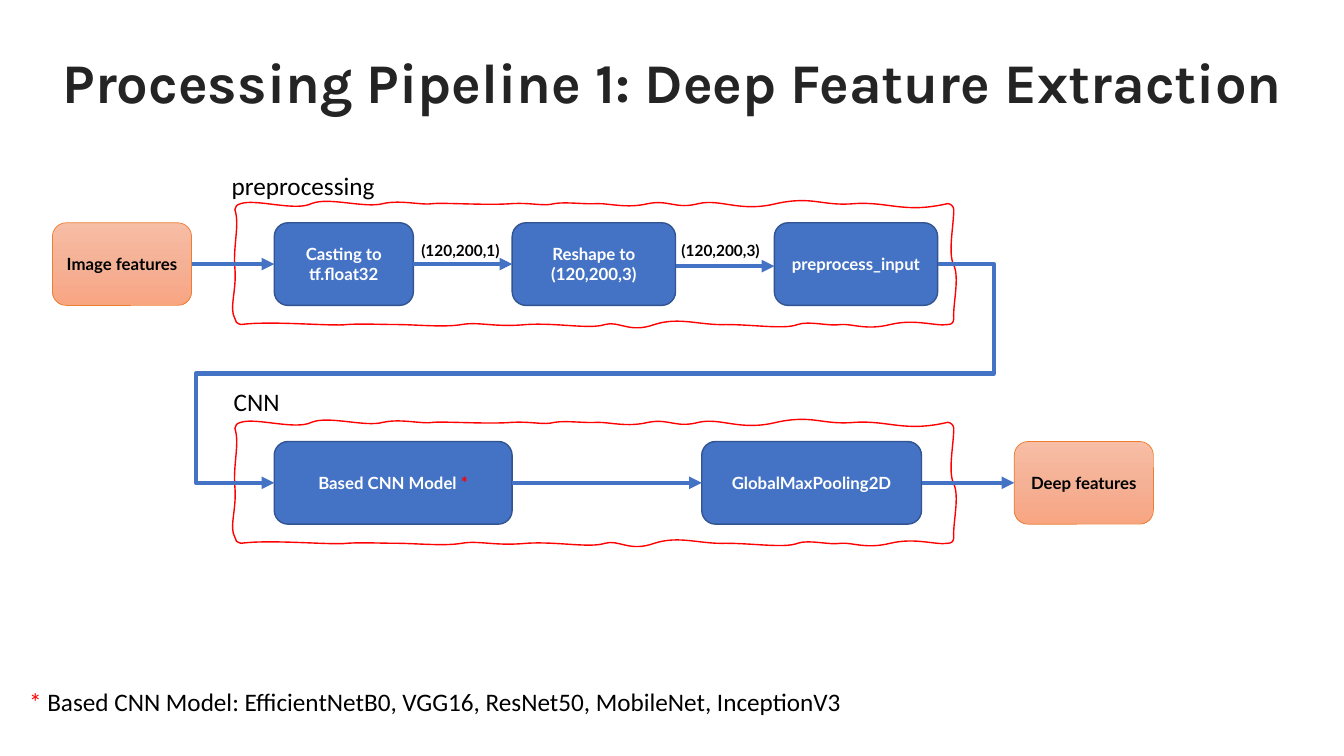
from copy import deepcopy
from pptx import Presentation
from pptx.dml.color import RGBColor
from pptx.enum.shapes import MSO_CONNECTOR, MSO_SHAPE
from pptx.enum.text import MSO_ANCHOR, MSO_AUTO_SIZE, PP_ALIGN
from pptx.oxml.ns import qn
from pptx.oxml.xmlchemy import OxmlElement
from pptx.util import Inches, Pt

COLORS = {
    "blue": "4472C4", "edge": "325491", "orange": "ED7D31", "red": "FF0000",
    "black": "000000", "white": "FFFFFF", "ink": "242424",
}
PEACH = [(0, "F7BDA5"), (0.5, "F5B196"), (1, "F8A582")]

TITLE = "Processing Pipeline 1: Deep Feature Extraction"
ROWS = [2.21, 4.38]
TALL = 0.82
# name: (row, left, width, style, runs)
BOXES = {
    "image": (0, 0.52, 1.38, "peach", [("Image features", "black")]),
    "cast": (0, 2.72, 1.38, "blue", [("Casting to tf.float32", "white")]),
    "shape": (0, 5.08, 1.62, "blue", [("Reshape to (120,200,3)", "white")]),
    "prep": (0, 7.68, 1.62, "blue", [("preprocess_input", "white")]),
    "model": (1, 2.72, 2.36, "blue", [("Based CNN Model ", "white"), ("*", "red")]),
    "pool": (1, 6.96, 2.18, "blue", [("GlobalMaxPooling2D", "white")]),
    "deep": (1, 10.06, 1.38, "peach", [("Deep features", "black")]),
}
# from, to, drop below the middle
LINKS = [
    ("image", "cast", 0), ("cast", "shape", 0), ("shape", "prep", 0.02),
    ("prep", "model", 0), ("model", "pool", 0), ("pool", "deep", 0),
]
BENDS = [-8500, 50000, 111800]
# left, top, width, height, wrap, font, size, bold, runs
LABELS = [
    (0.19, 6.76, 12.16, 0.71, True, "Calibri", 18, False,
     [("*", "red"), (" Based CNN Model: EfficientNetB0, VGG16, ResNet50, "
                     "MobileNet, InceptionV3", "black")]),
    (2.2, 1.64, 1.64, 0.4, False, "Calibri", 18, False, [("preprocessing", "black")]),
    (2.22, 3.78, 0.66, 0.4, False, "Calibri", 18, False, [("CNN", "black")]),
    (4.08, 2.34, 1.02, 0.29, False, "Lato", 11, True, [("(120,200,1)", "black")]),
    (6.66, 2.34, 1.02, 0.29, False, "Lato", 11, True, [("(120,200,3)", "black")]),
]
# Wavy frame: start point, then curves of two handles and an end
START = (2.33, 2.08)
WAVES = [
    (2.33, 2.05, 2.35, 2.03, 2.39, 2.02), (2.54, 1.97, 2.93, 2.1, 3.09, 2.02),
    (3.26, 1.95, 3.62, 2.07, 3.8, 2.02), (3.98, 1.98, 4.18, 2.04, 4.3, 2.02),
    (4.42, 2.01, 4.86, 2.04, 5.08, 2.02), (5.29, 2.01, 5.39, 2.05, 5.5, 2.02),
    (5.62, 2, 5.8, 2.03, 5.93, 2.02), (6.06, 2.02, 6.22, 2.07, 6.43, 2.02),
    (6.64, 1.98, 6.7, 2.08, 6.93, 2.02), (7.15, 1.97, 7.34, 2.11, 7.7, 2.02),
    (8.07, 1.94, 8.15, 2.05, 8.48, 2.02), (8.82, 2, 8.97, 2.12, 9.4, 2.02),
    (9.43, 2.02, 9.46, 2.05, 9.46, 2.08), (9.46, 2.24, 9.4, 2.51, 9.46, 2.63),
    (9.52, 2.76, 9.45, 3.02, 9.46, 3.16), (9.46, 3.2, 9.44, 3.22, 9.4, 3.22),
    (9.28, 3.24, 9.08, 3.16, 8.83, 3.22), (8.59, 3.28, 8.45, 3.21, 8.34, 3.22),
    (8.22, 3.24, 8.03, 3.18, 7.91, 3.22), (7.79, 3.27, 7.47, 3.22, 7.2, 3.22),
    (6.94, 3.23, 6.74, 3.14, 6.49, 3.22), (6.24, 3.31, 6.14, 3.18, 6, 3.22),
    (5.85, 3.27, 5.52, 3.2, 5.22, 3.22), (4.91, 3.25, 4.75, 3.19, 4.58, 3.22),
    (4.41, 3.25, 4.11, 3.22, 3.94, 3.22), (3.78, 3.22, 3.59, 3.21, 3.44, 3.22),
    (3.3, 3.24, 2.69, 3.18, 2.39, 3.22), (2.35, 3.21, 2.33, 3.19, 2.33, 3.16),
    (2.27, 3.06, 2.35, 2.88, 2.33, 2.66), (2.31, 2.44, 2.38, 2.23, 2.33, 2.08),
]
UNIT = 1000  # outline units per inch


def rgb(name):
    return RGBColor.from_string(COLORS[name])


def write(para, runs, font, size, bold):
    for text, color in runs:
        run = para.add_run()
        run.text = text
        run.font.name, run.font.size, run.font.bold = font, Pt(size), bold
        run.font.color.rgb = rgb(color)


def add_frame(slide, drop):
    def units(x, y):
        return round(x * UNIT), round((y + drop) * UNIT)

    ends = [units(*wave[4:]) for wave in WAVES]
    form = slide.shapes.build_freeform(*units(*START), scale=Inches(1) / UNIT)
    form.add_line_segments(ends, close=True)
    frame = form.convert_to_shape()
    # Turn each side into a curve
    left = min(x for x, y in ends)
    top = min(y for x, y in ends)
    sides = list(frame._element.spPr.iter(qn("a:lnTo")))
    for side, wave in zip(sides, WAVES):
        curve = OxmlElement("a:cubicBezTo")
        for x, y in zip(wave[::2], wave[1::2]):
            px, py = units(x, y)
            point = OxmlElement("a:pt")
            point.set("x", str(px - left))
            point.set("y", str(py - top))
            curve.append(point)
        side.getparent().replace(side, curve)
    frame.shadow.inherit = False
    frame.fill.background()
    frame.line.color.rgb = rgb("red")
    frame.line.width = Pt(1)


def add_box(slide, row, left, width, style, runs):
    box = slide.shapes.add_shape(MSO_SHAPE.ROUNDED_RECTANGLE, Inches(left),
                                 Inches(ROWS[row]), Inches(width), Inches(TALL))
    box.shadow.inherit = False
    if style == "peach":
        box.fill.gradient()
        box.fill.gradient_angle = 270
        stops = box._element.spPr.find(".//" + qn("a:gsLst"))
        stops.insert(1, deepcopy(stops[0]))
        for stop, (place, color) in zip(box.fill.gradient_stops, PEACH):
            stop.position = place
            stop.color.rgb = RGBColor.from_string(color)
    else:
        box.fill.solid()
        box.fill.fore_color.rgb = rgb("blue")
    box.line.color.rgb = rgb("orange" if style == "peach" else "edge")
    box.line.width = Pt(0.5 if style == "peach" else 1)
    frame = box.text_frame
    frame.word_wrap = True
    frame.vertical_anchor = MSO_ANCHOR.MIDDLE
    frame.paragraphs[0].alignment = PP_ALIGN.CENTER
    write(frame.paragraphs[0], runs, "Lato", 12, True)


def add_link(slide, first, last, drop):
    row, left, width = BOXES[first][:3]
    goal, end = BOXES[last][:2]
    middle = TALL / 2 + drop
    link = slide.shapes.add_connector(
        MSO_CONNECTOR.ELBOW, Inches(left + width), Inches(ROWS[row] + middle),
        Inches(end), Inches(ROWS[goal] + middle))
    link.line.color.rgb = rgb("blue")
    link.line.width = Pt(3)
    props = link._element.spPr
    # Wrap the elbow around to the next row
    if row != goal:
        geom = props.find(qn("a:prstGeom"))
        geom.set("prst", "bentConnector5")
        bends = geom.find(qn("a:avLst"))
        for index, value in enumerate(BENDS, 1):
            guide = OxmlElement("a:gd")
            guide.set("name", f"adj{index}")
            guide.set("fmla", f"val {value}")
            bends.append(guide)
    head = OxmlElement("a:tailEnd")
    head.set("type", "triangle")
    props.find(qn("a:ln")).append(head)
    props.append(OxmlElement("a:effectLst"))


def add_label(slide, left, top, width, height, wrap, font, size, bold, runs):
    label = slide.shapes.add_textbox(Inches(left), Inches(top),
                                     Inches(width), Inches(height))
    label.text_frame.word_wrap = wrap
    write(label.text_frame.paragraphs[0], runs, font, size, bold)


def main():
    deck = Presentation()
    deck.slide_width, deck.slide_height = Inches(13.33), Inches(7.5)
    slide = deck.slides.add_slide(deck.slide_layouts[5])

    # Title
    title = slide.shapes.title
    title.left, title.top = Inches(0.52), Inches(0.12)
    title.width, title.height = Inches(12.49), Inches(1.45)
    frame = title.text_frame
    frame.word_wrap = True
    frame.auto_size = MSO_AUTO_SIZE.NONE
    frame.vertical_anchor = MSO_ANCHOR.MIDDLE
    para = frame.paragraphs[0]
    para.alignment = PP_ALIGN.LEFT
    para.line_spacing = 0.9
    write(para, [(TITLE, "ink")], "Karla", 40, True)

    # Pipeline
    for top in ROWS:
        add_frame(slide, top - ROWS[0])
    for box in BOXES.values():
        add_box(slide, *box)
    for link in LINKS:
        add_link(slide, *link)

    # Labels and footnote
    for label in LABELS:
        add_label(slide, *label)
    deck.save("out.pptx")


if __name__ == "__main__":
    main()
